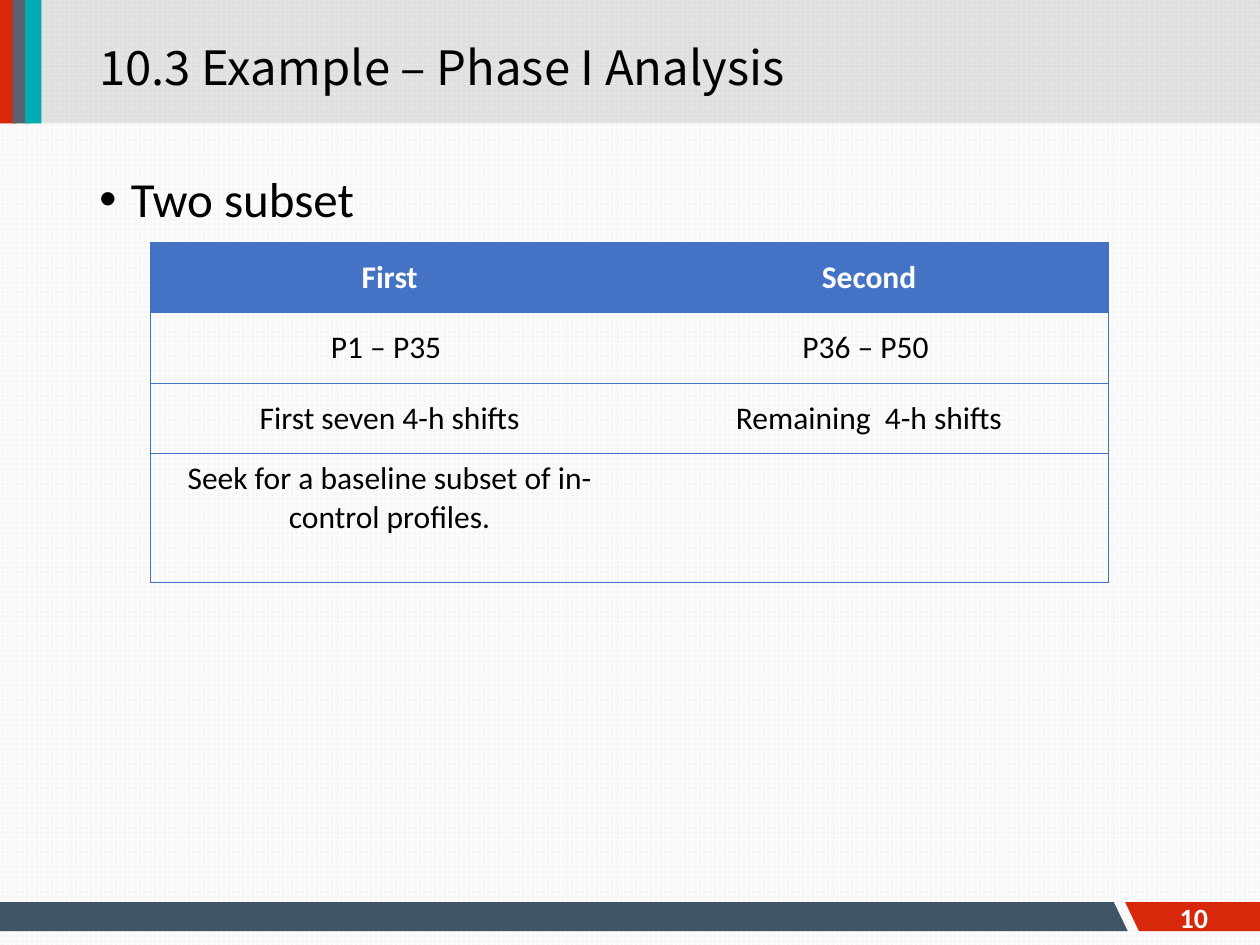
from lxml import etree
from pptx import Presentation
from pptx.dml.color import RGBColor
from pptx.enum.dml import MSO_PATTERN
from pptx.enum.shapes import MSO_SHAPE
from pptx.enum.text import MSO_ANCHOR, PP_ALIGN
from pptx.oxml.ns import qn
from pptx.util import Inches, Pt

RECTANGLE = MSO_SHAPE.RECTANGLE
LARGE_GRID = MSO_PATTERN.LARGE_GRID
TOP, MIDDLE = MSO_ANCHOR.TOP, MSO_ANCHOR.MIDDLE
LEFT, CENTER = PP_ALIGN.LEFT, PP_ALIGN.CENTER

BLACK = RGBColor(0x00, 0x00, 0x00)
WHITE = RGBColor(0xFF, 0xFF, 0xFF)
PAPER = RGBColor(0xF7, 0xF7, 0xF7)
GRAY = RGBColor(0x80, 0x80, 0x80)
RED = RGBColor(0xD8, 0x27, 0x0A)
SLATE = RGBColor(0x58, 0x62, 0x70)
TEAL = RGBColor(0x00, 0xAB, 0xB4)
NAVY = RGBColor(0x41, 0x54, 0x63)
BLUE = RGBColor(0x44, 0x72, 0xC4)

BODY_FONT = "Calibri"
TITLE_FONT = "Noto Sans CJK SC"
SUBSETS = [
    ("First", "Second"),
    ("P1 – P35 ", "P36 – P50 "),
    ("First seven 4-h shifts", "Remaining  4-h shifts"),
    ("Seek for a baseline subset of in-control profiles.", ""),
]
ROW_HEIGHTS = [0.56, 0.56, 0.56, 1.02]


def write(frame, text, size=18, font=BODY_FONT, color=BLACK, bold=False,
          align=LEFT, anchor=TOP):
    frame.word_wrap = True
    frame.vertical_anchor = anchor
    paragraph = frame.paragraphs[0]
    paragraph.alignment = align
    run = paragraph.add_run()
    run.text = text
    run.font.size = Pt(size)
    run.font.name = font
    run.font.bold = bold
    run.font.color.rgb = color
    return paragraph


def add_text(slide, box, text, **style):
    frame = slide.shapes.add_textbox(*map(Inches, box)).text_frame
    return write(frame, text, **style)


def paint(shape, color):
    shape.shadow.inherit = False
    shape.fill.solid()
    shape.fill.fore_color.rgb = color
    shape.line.fill.background()


def add_block(slide, box, color):
    block = slide.shapes.add_shape(RECTANGLE, *map(Inches, box))
    paint(block, color)
    return block


def add_polygon(slide, points, color):
    start, *others = [(Inches(x), Inches(y)) for x, y in points]
    builder = slide.shapes.build_freeform(*start)
    builder.add_line_segments(others, close=True)
    paint(builder.convert_to_shape(), color)


def add_header(slide, box, title):
    left, top, width, height = box
    band = add_block(slide, box, GRAY)
    tint = band.fill._xPr.find(qn("a:solidFill"))[0]
    etree.SubElement(tint, qn("a:alpha"), val="20000")
    for index, color in enumerate((RED, SLATE, TEAL)):
        add_block(slide, (left + 0.1 * index, top, 0.13, height), color)
    add_text(slide, (left + 0.69, top + 0.24, 8.02, 0.57), title,
             size=27, font=TITLE_FONT, anchor=MIDDLE)


def add_footer(slide, box, number):
    left, top, width, height = box
    right, bottom = left + width, top + height
    slant, split = 0.11, right - 1.07
    bar_end = split - 0.09
    add_polygon(slide, [(left, top), (bar_end, top),
                        (bar_end + slant, bottom), (left, bottom)], NAVY)
    add_polygon(slide, [(split, top), (right, top),
                        (right, bottom), (split + slant, bottom)], RED)
    add_text(slide, (8.95, top - 0.08, 1.05, 0.4), number, size=16, color=WHITE,
             bold=True, align=CENTER, anchor=MIDDLE)


def add_bullet(slide, box, text):
    paragraph = add_text(slide, box, text, size=28)
    paragraph.line_spacing = 0.9
    properties = paragraph._p.get_or_add_pPr()
    properties.set("marL", str(Inches(0.25)))
    properties.set("indent", str(-Inches(0.25)))
    etree.SubElement(properties, qn("a:buFont"), typeface="Arial")
    etree.SubElement(properties, qn("a:buChar"), char="•")


def set_borders(cell, visible):
    properties = cell._tc.get_or_add_tcPr()
    for position, side in enumerate(("L", "R", "T", "B")):
        border = etree.Element(qn(f"a:ln{side}"), w=str(Pt(0.5)))
        if side in visible:
            fill = etree.SubElement(border, qn("a:solidFill"))
            etree.SubElement(fill, qn("a:srgbClr"), val=str(BLUE))
        else:
            etree.SubElement(border, qn("a:noFill"))
        properties.insert(position, border)


def add_subset_table(slide, box, rows, heights):
    columns = len(rows[0])
    table = slide.shapes.add_table(len(rows), columns, *map(Inches, box)).table
    table.horz_banding = False
    for column in table.columns:
        column.width = Inches(box[2] / columns)
    for r, (texts, height) in enumerate(zip(rows, heights)):
        table.rows[r].height = Inches(height)
        header, last = r == 0, r == len(rows) - 1
        for c, text in enumerate(texts):
            cell = table.cell(r, c)
            if header:
                cell.fill.solid()
                cell.fill.fore_color.rgb = BLUE
            else:
                cell.fill.background()
            set_borders(cell, "TB" + ("L" if c == 0 else "")
                        + ("R" if c == columns - 1 else ""))
            cell.vertical_anchor = TOP if last else MIDDLE
            if text:
                write(cell.text_frame, text, color=WHITE if header else BLACK,
                      bold=header, align=CENTER, anchor=cell.vertical_anchor)


def main():
    deck = Presentation()
    deck.slide_width, deck.slide_height = Inches(10), Inches(7.5)
    slide = deck.slides.add_slide(deck.slide_layouts[6])
    backdrop = slide.background.fill
    backdrop.patterned()
    backdrop.pattern = LARGE_GRID
    backdrop.fore_color.rgb = WHITE
    backdrop.back_color.rgb = PAPER

    add_footer(slide, (0, 7.16, 10, 0.23), "10")
    add_header(slide, (0, 0, 10, 0.98), "10.3 Example – Phase I Analysis")
    add_bullet(slide, (0.69, 1.34, 8.62, 5.41), "Two subset")
    add_subset_table(slide, (1.19, 1.92, 7.61, sum(ROW_HEIGHTS)),
                     SUBSETS, ROW_HEIGHTS)
    deck.save("out.pptx")


if __name__ == "__main__":
    main()
